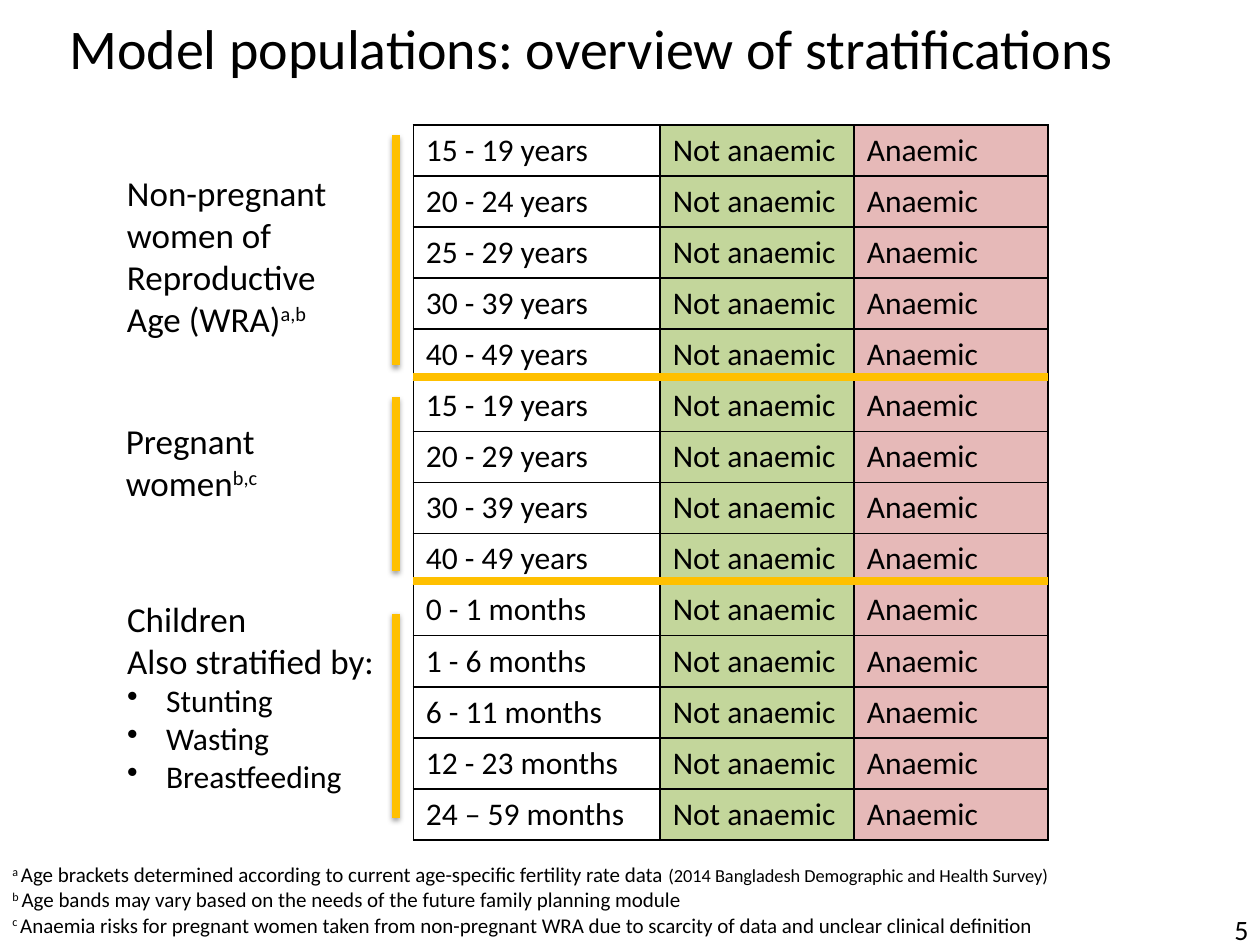
from dataclasses import dataclass

from lxml import etree
from pptx import Presentation
from pptx import util as u
from pptx.dml.color import RGBColor
from pptx.enum import shapes, text
from pptx.oxml import ns


@dataclass(frozen=True)
class Theme:
    font: str = "Calibri"
    ink: str = "000000"
    healthy: str = "C3D69B"
    anaemic: str = "E6B9B8"
    accent: str = "FFC000"
    title: float = 32
    label: float = 20
    body: float = 18
    page_number: float = 16
    note: float = 12
    citation: float = 10.5
    rule: float = 4.5
    border: float = 1
    raised: int = 30000


THEME = Theme()
COLUMNS, ROWS = 100, 75
WIDTH, HEIGHT = u.Inches(10), u.Inches(7.5)

TABLE_LEFT, TABLE_TOP = 32.8, 9.9
TABLE_COLUMNS = (19.6, 15.4, 15.4)
TABLE_HEIGHT = 56.8
BAR_X = 31.4

AGE_GROUPS = (
    ("15 - 19 years", "20 - 24 years", "25 - 29 years", "30 - 39 years", "40 - 49 years"),
    ("15 - 19 years", "20 - 29 years", "30 - 39 years", "40 - 49 years"),
    ("0 - 1 months", "1 - 6 months", "6 - 11 months", "12 - 23 months", "24 – 59 months"),
)
BAR_SPANS = ((10.7, 29), (31.5, 45.3), (48.7, 64.9))
NOTES = (
    ("a ", "Age brackets determined according to current age-specific fertility rate data "),
    ("b ", "Age bands may vary based on the needs of the future family planning module"),
    ("c ", "Anaemia risks for pregnant women taken from non-pregnant WRA "
           "due to scarcity of data and unclear clinical definition"),
)
CITATION = "(2014 Bangladesh Demographic and Health Survey)"


def across(columns):
    return round(WIDTH * columns / COLUMNS)


def down(rows):
    return round(HEIGHT * rows / ROWS)


def place(left, top, width, height):
    return across(left), down(top), across(width), down(height)


def style(font, size):
    font.name = THEME.font
    font.size = u.Pt(size)
    font.color.rgb = RGBColor.from_string(THEME.ink)


def add_span(para, words, raised=False, size=None):
    span = para.add_run()
    span.text = words
    if raised:
        span.font._element.set("baseline", str(THEME.raised))
    if size:
        span.font.size = u.Pt(size)


def add_box(page, area, wrap=True):
    frame = page.shapes.add_textbox(*place(*area)).text_frame
    frame.word_wrap = wrap
    frame.auto_size = text.MSO_AUTO_SIZE.SHAPE_TO_FIT_TEXT
    return frame


def add_para(frame, size, words="", mark=""):
    first = frame.paragraphs[0]
    para = frame.add_paragraph() if first.runs else first
    style(para.font, size)
    if words:
        add_span(para, words)
    if mark:
        add_span(para, mark, raised=True)
    return para


def add_bullet(frame, words):
    properties = add_para(frame, THEME.body, words)._p.get_or_add_pPr()
    properties.set("marL", str(across(3.1)))
    properties.set("indent", str(-across(3.1)))
    bullet = etree.Element(ns.qn("a:buChar"), char="•")
    properties.insert(0, bullet)


def add_title(page, words):
    title = page.shapes.title
    title.left, title.top, title.width, title.height = place(4.5, 1.5, 91.3, 4.4)
    frame = title.text_frame
    frame.auto_size = text.MSO_AUTO_SIZE.NONE
    frame.vertical_anchor = text.MSO_ANCHOR.MIDDLE
    add_para(frame, THEME.title, words).alignment = text.PP_ALIGN.LEFT


def border_cell(cell):
    properties = cell._tc.get_or_add_tcPr()
    for position, side in enumerate(("a:lnL", "a:lnR", "a:lnT", "a:lnB")):
        line = etree.Element(ns.qn(side), w=str(u.Pt(THEME.border)))
        fill = etree.SubElement(line, ns.qn("a:solidFill"))
        etree.SubElement(fill, ns.qn("a:srgbClr"), val=THEME.ink)
        properties.insert(position, line)


def fill_cell(cell, words, colour):
    add_para(cell.text_frame, THEME.body, words)
    if colour:
        cell.fill.solid()
        cell.fill.fore_color.rgb = RGBColor.from_string(colour)
    else:
        cell.fill.background()
    border_cell(cell)


def add_strata(page):
    ages = [age for group in AGE_GROUPS for age in group]
    area = place(TABLE_LEFT, TABLE_TOP, sum(TABLE_COLUMNS), TABLE_HEIGHT)
    table = page.shapes.add_table(len(ages), len(TABLE_COLUMNS), *area).table
    table.first_row = table.horz_banding = False
    for column, width in zip(table.columns, TABLE_COLUMNS):
        column.width = across(width)
    for row, age in zip(table.rows, ages):
        row.height = down(TABLE_HEIGHT / len(ages))
        contents = ((age, None), ("Not anaemic", THEME.healthy), ("Anaemic", THEME.anaemic))
        for cell, (words, colour) in zip(row.cells, contents):
            fill_cell(cell, words, colour)


def add_rule(page, start, end, shadow=False):
    rule = page.shapes.add_connector(
        shapes.MSO_CONNECTOR.STRAIGHT,
        across(start[0]), down(start[1]), across(end[0]), down(end[1]))
    rule.line.color.rgb = RGBColor.from_string(THEME.accent)
    rule.line.width = u.Pt(THEME.rule)
    effects = etree.SubElement(rule._element.spPr, ns.qn("a:effectLst"))
    if shadow:
        cast = etree.SubElement(
            effects, ns.qn("a:outerShdw"), blurRad=str(u.Pt(3.1)),
            dist=str(u.Pt(1.6)), dir="5400000", rotWithShape="0")
        colour = etree.SubElement(cast, ns.qn("a:srgbClr"), val=THEME.ink)
        etree.SubElement(colour, ns.qn("a:alpha"), val="38000")


def add_group_labels(page):
    women = add_box(page, (9.1, 13.1, 19.4, 14.5))
    add_para(women, THEME.label, "Non-pregnant women of Reproductive Age (WRA)", "a,b")
    pregnant = add_box(page, (9, 32.8, 19.4, 7.7))
    add_para(pregnant, THEME.label, "Pregnant women", "b,c")
    children = add_box(page, (9.1, 46.9, 22.5, 16.8))
    for words in ("Children", "Also stratified by:"):
        add_para(children, THEME.label, words)
    for words in ("Stunting", "Wasting", "Breastfeeding"):
        add_bullet(children, words)


def add_notes(page):
    frame = add_box(page, (0, 67.9, COLUMNS, 7.1))
    for mark, words in NOTES:
        para = add_para(frame, THEME.note, mark=mark)
        add_span(para, words)
    add_span(frame.paragraphs[0], CITATION, size=THEME.citation)


def add_page_number(page, number):
    frame = add_box(page, (97, 72, 3, 3.6), wrap=False)
    frame.margin_left = frame.margin_right = across(0.9)
    frame.margin_top = frame.margin_bottom = down(0.4)
    add_para(frame, THEME.page_number, number).alignment = text.PP_ALIGN.RIGHT


def main():
    deck = Presentation()
    deck.slide_width, deck.slide_height = WIDTH, HEIGHT
    page = deck.slides.add_slide(deck.slide_layouts.get_by_name("Title Only"))
    add_title(page, "Model populations: overview of stratifications")
    add_strata(page)
    add_group_labels(page)
    add_notes(page)
    for top, bottom in BAR_SPANS:
        add_rule(page, (BAR_X, top), (BAR_X, bottom), shadow=True)
    for height in (29.9, 46.1):
        add_rule(page, (TABLE_LEFT, height), (TABLE_LEFT + sum(TABLE_COLUMNS), height))
    add_page_number(page, "5")
    deck.save("out.pptx")


if __name__ == "__main__":
    main()
